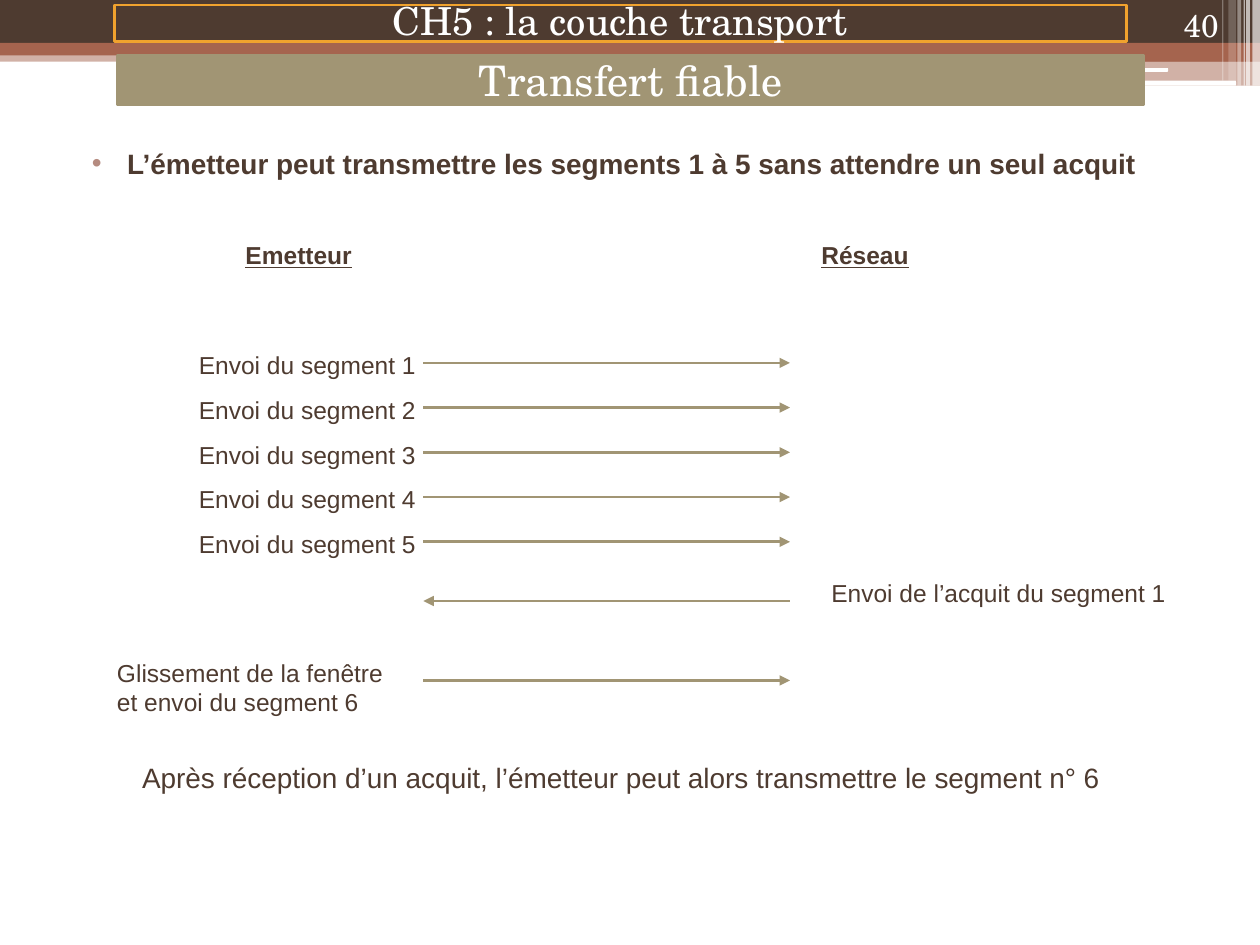
from lxml import etree
from pptx import Presentation
from pptx.dml.color import RGBColor
from pptx.enum import shapes, text
from pptx.oxml.ns import qn
from pptx.util import Inches, Pt

BROWN = RGBColor(0x4E, 0x3B, 0x30)
RUST = RGBColor(0xA5, 0x64, 0x4E)
ROSE = RGBColor(0xB5, 0x8B, 0x80)
KHAKI = RGBColor(0xA1, 0x95, 0x74)
ORANGE = RGBColor(0xF0, 0xA2, 0x2E)
WHITE = RGBColor(0xFF, 0xFF, 0xFF)
SANS, SERIF = "Arial", "TeX Gyre Schola"


def place(sp, left, top, width, height):
    sp.left, sp.top = Inches(left), Inches(top)
    sp.width, sp.height = Inches(width), Inches(height)


def write(sp, content, size=14, font=SANS, color=BROWN, bold=False, underline=False,
          align=text.PP_ALIGN.LEFT, anchor=text.MSO_ANCHOR.TOP, wrap=True,
          spacing=1.0, inset=0.05):
    tf = sp.text_frame
    tf.word_wrap = wrap
    tf.auto_size = text.MSO_AUTO_SIZE.NONE if wrap else text.MSO_AUTO_SIZE.SHAPE_TO_FIT_TEXT
    tf.vertical_anchor = anchor
    tf.margin_top = tf.margin_bottom = Inches(inset)
    for i, line in enumerate(content.split("\n")):
        p = tf.paragraphs[0] if i == 0 else tf.add_paragraph()
        p.alignment, p.line_spacing, p.space_before = align, spacing, Pt(0)
        r = p.add_run()
        r.text = line
        r.font.name, r.font.size, r.font.color.rgb = font, Pt(size), color
        r.font.bold, r.font.underline = bold, underline


def add_text(slide, box, content, **fmt):
    sp = slide.shapes.add_textbox(*map(Inches, box))
    write(sp, content, **fmt)


def add_bar(slide, box, color, opacity=100, kind=shapes.MSO_SHAPE.RECTANGLE):
    sp = slide.shapes.add_shape(kind, *map(Inches, box))
    sp.shadow.inherit = False
    sp.line.fill.background()
    sp.fill.solid()
    sp.fill.fore_color.rgb = color
    if opacity < 100:
        clr = sp.fill._xPr.find(".//" + qn("a:srgbClr"))
        etree.SubElement(clr, qn("a:alpha"), val=str(opacity * 1000))


def add_arrow(slide, x1, x2, y):
    line = slide.shapes.add_connector(shapes.MSO_CONNECTOR.STRAIGHT,
                                      Inches(x1), Inches(y), Inches(x2), Inches(y))
    line.line.color.rgb, line.line.width = KHAKI, Pt(1.5)
    etree.SubElement(line.line._get_or_add_ln(), qn("a:tailEnd"), type="triangle")
    etree.SubElement(line._element.spPr, qn("a:effectLst"))


def add_bands(slide, left, top, width):
    """Coloured bands across the top, with thin pale stripes at the right."""
    right = left + width
    half = right - 4.08
    add_bar(slide, (left, top + 0.4, width, 0.09), RUST, 50)
    add_bar(slide, (left, top, width, 0.34), BROWN)
    add_bar(slide, (left, top + 0.34, width, 0.1), RUST)
    add_bar(slide, (half, top + 0.39, 4.08, 0.1), RUST)
    add_bar(slide, (half, top + 0.48, 4.08, 0.2), RUST, 50)
    rounded = shapes.MSO_SHAPE.ROUNDED_RECTANGLE
    add_bar(slide, (half, top + 0.54, 3.35, 0.03), WHITE, kind=rounded)
    add_bar(slide, (right - 1.94, top + 0.64, 1.75, 0.04), WHITE, kind=rounded)
    stripes = [(0.06, 0.06, 0.68, 65), (0.11, 0.03, 0.68, 65), (0.13, 0.01, 0.68, 60),
               (0.18, 0.03, 0.68, 40), (0.25, 0.06, 0.64, 20), (0.3, 0.01, 0.64, 30)]
    for offset, thickness, height, opacity in stripes:
        add_bar(slide, (right - offset, top, thickness, height), WHITE, opacity)


def add_body(slide, box, content):
    sp = slide.placeholders[1]
    slide.shapes._spTree.append(sp._element)
    place(sp, *box)
    write(sp, content, size=16, bold=True, spacing=0.9, inset=0.04)
    pPr = sp.text_frame.paragraphs[0]._p.get_or_add_pPr()
    pPr.set("marL", str(Inches(0.4)))
    pPr.set("indent", str(Inches(-0.28)))
    clr = etree.SubElement(pPr, qn("a:buClr"))
    etree.SubElement(clr, qn("a:srgbClr"), val=str(ROSE))
    etree.SubElement(pPr, qn("a:buFont"), typeface=SANS)
    etree.SubElement(pPr, qn("a:buChar"), char="•")


def add_exchange(slide, left, top):
    """Messages between the sender on the left and the network on the right."""
    sender, network = left + 2.53, left + 5.44
    for offset, width, name in [(1.02, 1.2, "Emetteur"), (5.59, 1.05, "Réseau")]:
        add_text(slide, (left + offset, top, width, 0.33), name, bold=True, underline=True)
    for i in range(5):
        y = top + 0.87 + i * 0.355
        add_text(slide, (left + 0.65, y, 1.93, 0.34), f"Envoi du segment {i + 1}", wrap=False)
        add_arrow(slide, sender, network, y + 0.15)
    add_text(slide, (left + 5.67, top + 2.68, 2.87, 0.34),
             "Envoi de l’acquit du segment 1", wrap=False)
    add_arrow(slide, network, sender, top + 2.91)
    add_text(slide, (left, top + 3.31, 2.38, 0.57),
             "Glissement de la fenêtre\net envoi du segment 6", wrap=False)
    add_arrow(slide, sender, network, top + 3.54)


def add_heading(slide, left, top):
    """Slide title, chapter frame and page number."""
    white = dict(font=SERIF, color=WHITE)
    middle = dict(align=text.PP_ALIGN.CENTER, anchor=text.MSO_ANCHOR.MIDDLE)
    title = slide.shapes.title
    slide.shapes._spTree.append(title._element)
    place(title, left + 0.93, top + 0.44, 8.15, 0.39)
    title.fill.solid()
    title.fill.fore_color.rgb = KHAKI
    title.line.color.rgb, title.line.width = KHAKI, Pt(1.5)
    write(title, "Transfert fiable", size=24, **white, **middle)

    frame = slide.shapes.add_shape(shapes.MSO_SHAPE.RECTANGLE, Inches(left + 0.91),
                                   Inches(top + 0.04), Inches(8.03), Inches(0.29))
    frame.shadow.inherit = False
    frame.fill.background()
    frame.line.color.rgb, frame.line.width = ORANGE, Pt(1.5)
    write(frame, "CH5 : la couche transport", size=22, spacing=0.9, **white, **middle)

    add_text(slide, (left + 8.94, top, 0.83, 0.4), "40", size=18,
             align=text.PP_ALIGN.RIGHT, anchor=text.MSO_ANCHOR.BOTTOM, **white)


def main():
    prs = Presentation()
    prs.slide_width, prs.slide_height = Inches(10), Inches(7.5)
    slide = prs.slides.add_slide(prs.slide_layouts[1])
    add_bands(slide, 0, 0, 10)
    add_body(slide, (0.51, 1.15, 9, 0.55),
             "L’émetteur peut transmettre les segments 1 à 5 sans attendre un seul acquit")
    add_exchange(slide, 0.83, 1.86)
    add_text(slide, (0.43, 6.03, 9, 0.55),
             "Après réception d’un acquit, l’émetteur peut alors transmettre le segment n° 6",
             size=16, align=text.PP_ALIGN.CENTER, spacing=0.9, inset=0.04)
    add_heading(slide, 0, 0)
    prs.save("out.pptx")


if __name__ == "__main__":
    main()
